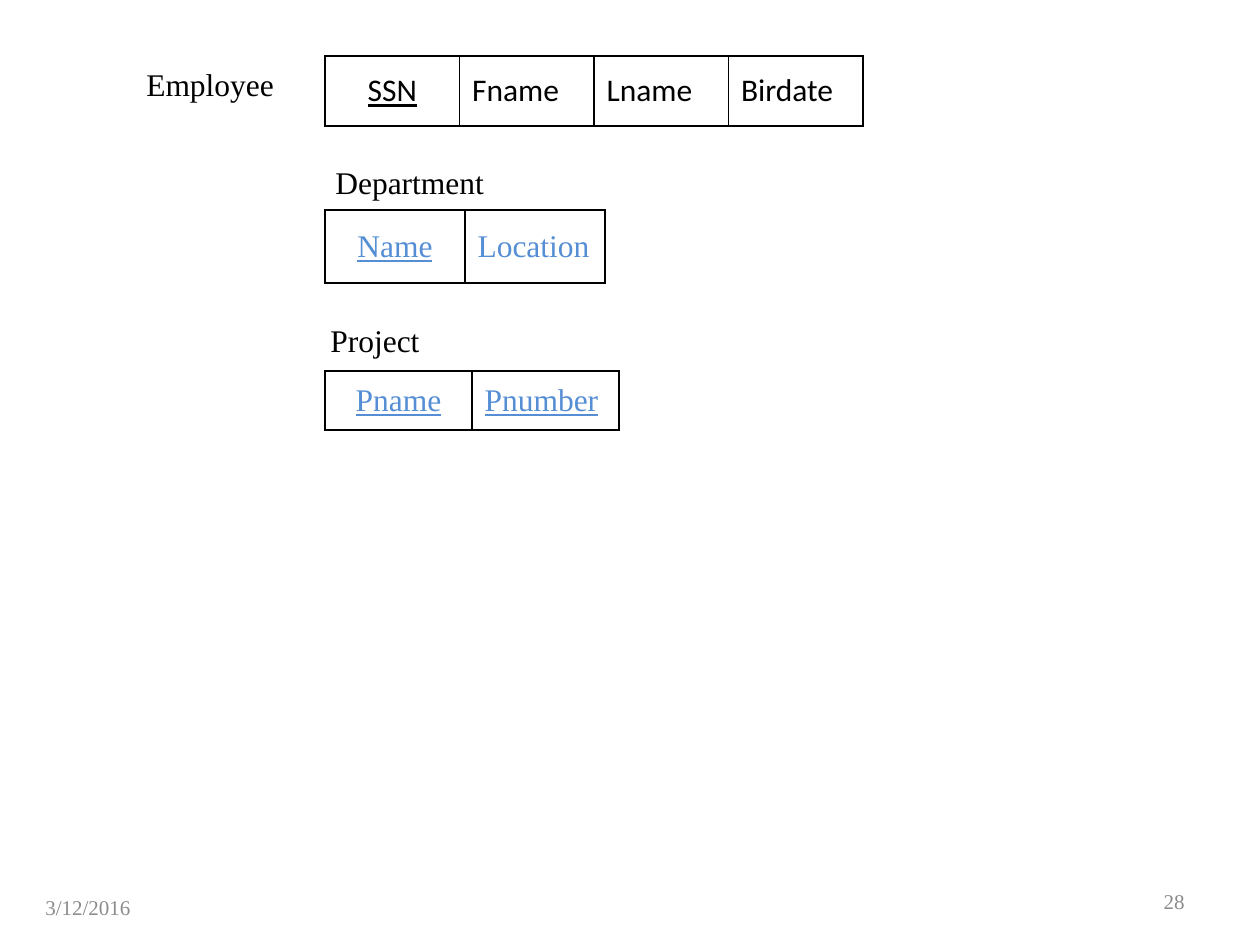
from lxml import etree
from pptx import Presentation
from pptx.dml.color import RGBColor
from pptx.enum import text
from pptx.oxml import ns
from pptx.util import Emu, Pt

BLACK = RGBColor(0x00, 0x00, 0x00)
BLUE = RGBColor(0x55, 0x8E, 0xD5)
GRAY = RGBColor(0x8C, 0x8C, 0x8C)
SERIF = "Times New Roman"
SANS = "Calibri"
LEFT = text.PP_ALIGN.LEFT
CENTER = text.PP_ALIGN.CENTER
RIGHT = text.PP_ALIGN.RIGHT
TOP = text.MSO_ANCHOR.TOP
MIDDLE = text.MSO_ANCHOR.MIDDLE


def px(n):
    return Emu(round(n * 914400 / 126))


class SchemaSlide:
    def __init__(self, prs):
        self.s = prs.slides.add_slide(prs.slide_layouts[6])
        self.border = BLACK
        self.border_width = Pt(1)

    def run(self, p, words, font, size, color, underline=False):
        r = p.add_run()
        r.text = words
        r.font.name = font
        r.font.size = Pt(size)
        r.font.color.rgb = color
        r.font.underline = underline

    def label(self, words, x, y, w, h, size=18, color=BLACK, align=LEFT, anchor=TOP):
        tf = self.s.shapes.add_textbox(px(x), px(y), px(w), px(h)).text_frame
        tf.word_wrap = True
        tf.vertical_anchor = anchor
        p = tf.paragraphs[0]
        p.alignment = align
        self.run(p, words, SERIF, size, color)

    def outline(self, cell):
        tc_pr = cell._tc.get_or_add_tcPr()
        for i, side in enumerate(("lnL", "lnR", "lnT", "lnB")):
            ln = etree.Element(ns.qn(f"a:{side}"), w=str(self.border_width))
            fill = etree.SubElement(ln, ns.qn("a:solidFill"))
            etree.SubElement(fill, ns.qn("a:srgbClr"), val=str(self.border))
            tc_pr.insert(i, ln)

    def relation(self, x, y, w, h, fields, keys, font, color):
        frame = self.s.shapes.add_table(1, len(fields), px(x), px(y), px(w), px(h))
        table = frame.table
        table.first_row = table.horz_banding = False
        for i, field in enumerate(fields):
            table.columns[i].width = px(w / len(fields))
            cell = table.cell(0, i)
            cell.fill.background()
            cell.vertical_anchor = MIDDLE
            self.outline(cell)
            p = cell.text_frame.paragraphs[0]
            p.alignment = LEFT if i else CENTER
            self.run(p, field, font, 18, color, field in keys)


def main():
    prs = Presentation()
    prs.slide_width, prs.slide_height = px(1260), px(945)
    slide = SchemaSlide(prs)

    slide.label("3/12/2016", 33, 882, 294, 50, 12, GRAY, anchor=MIDDLE)
    slide.label("28", 903, 876, 294, 50, 12, GRAY, RIGHT, MIDDLE)

    slide.relation(325, 56, 538, 70, ["SSN", "Fname", "Lname", "Birdate"], ["SSN"], SANS, BLACK)
    slide.relation(325, 210, 280, 73, ["Name", "Location"], ["Name"], SERIF, BLUE)
    slide.relation(325, 371, 294, 59, ["Pname", "Pnumber"], ["Pname", "Pnumber"], SERIF, BLUE)

    slide.label("Employee", 134, 59, 179, 50)
    slide.label("Department", 323, 157, 197, 50)
    slide.label("Project", 318, 315, 197, 50)

    prs.save("out.pptx")


if __name__ == "__main__":
    main()
